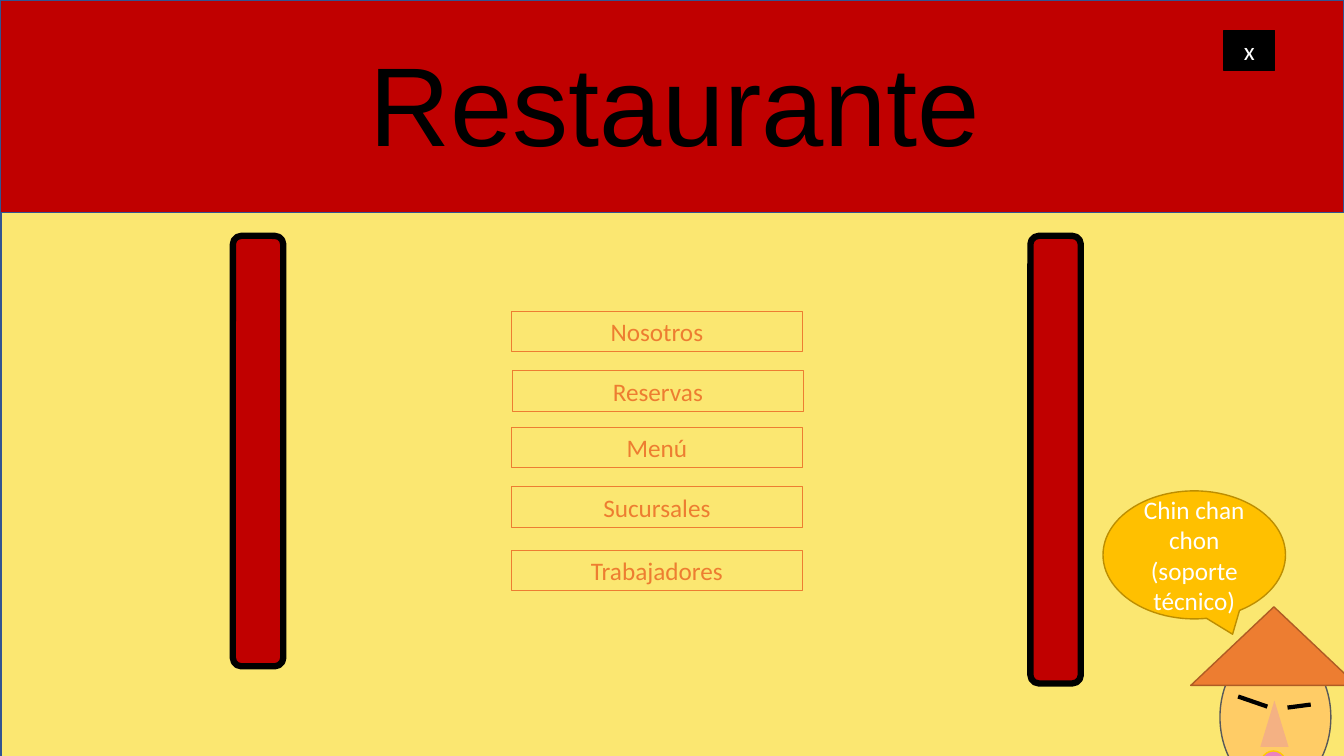
from dataclasses import dataclass
from typing import Optional

from pptx import Presentation
from pptx import util as u
from pptx.dml.color import RGBColor
from pptx.enum import shapes, text
from pptx.oxml.ns import qn

PX = 9144  # 100 px to the inch

BLACK = RGBColor(0x00, 0x00, 0x00)
WHITE = RGBColor(0xFF, 0xFF, 0xFF)
RED = RGBColor(0xC0, 0x00, 0x00)
CREAM = RGBColor(0xFB, 0xE7, 0x71)
BLUE = RGBColor(0x32, 0x54, 0x91)
ORANGE = RGBColor(0xED, 0x7D, 0x31)
RUST = RGBColor(0xAF, 0x5C, 0x24)
GOLD = RGBColor(0xFF, 0xC0, 0x00)
BRONZE = RGBColor(0xBD, 0x8E, 0x00)
SKIN = RGBColor(0xFF, 0xCC, 0x66)
GREY = RGBColor(0x59, 0x59, 0x59)
PEACH = RGBColor(0xF4, 0xB1, 0x83)
PINK = RGBColor(0xEB, 0x81, 0xC0)
YELLOW = RGBColor(0xFF, 0xCC, 0x00)

KIND = shapes.MSO_SHAPE


@dataclass
class Box:
    kind: KIND
    x: int
    y: int
    w: int
    h: int
    fill: Optional[RGBColor] = None
    line: Optional[RGBColor] = None
    thick: float = 1
    words: str = ""
    ink: RGBColor = WHITE


@dataclass
class Brow:
    x1: int
    y1: int
    x2: int
    y2: int


BANDS = [
    Box(KIND.RECTANGLE, 1, 12, 1334, 793, CREAM, BLUE),
    Box(KIND.RECTANGLE, 0, 0, 1333, 211, RED, BLUE),
]
POSTS = [
    Box(KIND.ROUNDED_RECTANGLE, x, 234, 50, h, RED, BLACK, 4.5)
    for x, h in [(231, 427), (1022, 444)]
]
MENU = [
    Box(KIND.RECTANGLE, x, y, 289, 40, None, ORANGE, 0.75, name, ORANGE)
    for name, x, y in [
        ("Nosotros", 507, 309),
        ("Reservas", 508, 368),
        ("Menú", 507, 424),
        ("Sucursales", 507, 483),
        ("Trabajadores", 507, 546),
    ]
]
HEAD = Box(KIND.OVAL, 1210, 639, 110, 145, SKIN, GREY)
BROWS = [Brow(1228, 691, 1257, 701), Brow(1277, 702, 1300, 699)]
FRONT = [
    Box(KIND.ISOSCELES_TRIANGLE, 1250, 695, 28, 46, PEACH),
    Box(KIND.OVAL, 1250, 745, 26, 28, PINK, YELLOW),
    Box(KIND.ISOSCELES_TRIANGLE, 1181, 602, 165, 78, ORANGE, RUST),
]
BUBBLE = Box(KIND.OVAL_CALLOUT, 1094, 487, 181, 127, GOLD, BRONZE,
             words="Chin chan chon\n(soporte técnico)")
CLOSE = Box(KIND.RECTANGLE, 1214, 30, 50, 40, BLACK, BLACK, words="x")


def write(frame, words: str, size: int, font: str, ink: RGBColor) -> None:
    frame.text = words
    frame.word_wrap = True
    for para in frame.paragraphs:
        para.alignment = text.PP_ALIGN.CENTER
        for run in para.runs:
            run.font.size = u.Pt(size)
            run.font.name = font
            run.font.color.rgb = ink


def draw(tree, box: Box):
    shape = tree.add_shape(box.kind, box.x * PX, box.y * PX, box.w * PX, box.h * PX)
    shape.shadow.inherit = False
    if box.fill is None:
        shape.fill.background()
    else:
        shape.fill.solid()
        shape.fill.fore_color.rgb = box.fill
    if box.line is None:
        shape.line.fill.background()
    else:
        shape.line.color.rgb = box.line
        shape.line.width = u.Pt(box.thick)
    if box.words:
        shape.text_frame.vertical_anchor = text.MSO_ANCHOR.MIDDLE
        write(shape.text_frame, box.words, 18, "Calibri", box.ink)
    return shape


def stroke(tree, brow: Brow) -> None:
    line = tree.add_connector(shapes.MSO_CONNECTOR.STRAIGHT, brow.x1 * PX,
                              brow.y1 * PX, brow.x2 * PX, brow.y2 * PX)
    line.line.color.rgb = BLACK
    line.line.width = u.Pt(3)
    props = line._element.spPr
    props.append(props.makeelement(qn("a:effectLst"), {}))


def title(tree) -> None:
    label = tree.add_textbox(263 * PX, 20 * PX, 813 * PX, 279 * PX)
    label.text_frame.margin_top = 14 * PX
    write(label.text_frame, "Restaurante", 80, "Arial", BLACK)


def main() -> None:
    deck = Presentation()
    deck.slide_width = 1333 * PX
    deck.slide_height = 750 * PX
    tree = deck.slides.add_slide(deck.slide_layouts[6]).shapes

    for band in BANDS:
        draw(tree, band)
    title(tree)
    for box in POSTS + MENU:
        draw(tree, box)

    face = tree.add_group_shape().shapes
    draw(face, HEAD)
    for brow in BROWS:
        stroke(face, brow)
    for part in FRONT:
        draw(face, part)

    bubble = draw(tree, BUBBLE)
    bubble.adjustments[0] = 0.21  # tail points down to the right
    bubble.adjustments[1] = 0.62
    draw(tree, CLOSE)
    deck.save("out.pptx")


if __name__ == "__main__":
    main()
